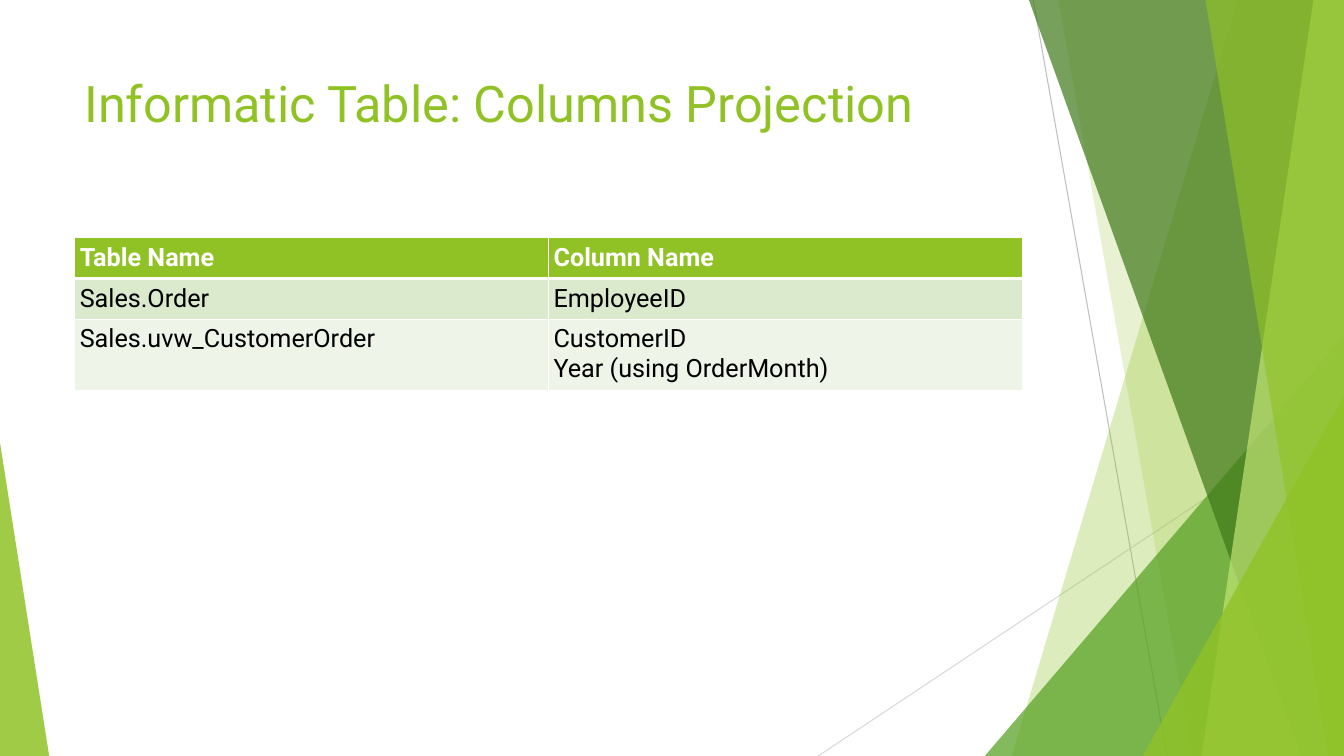
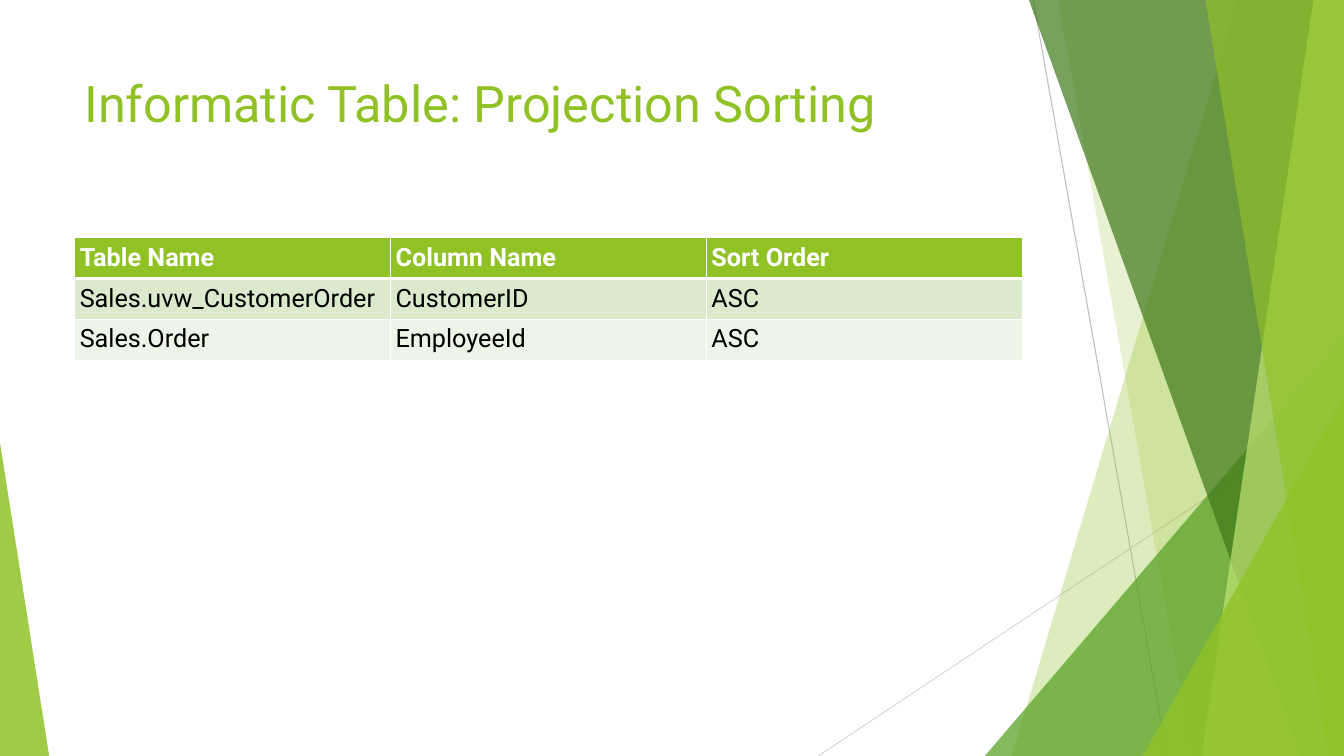
from lxml.etree import SubElement
from pptx import Presentation
from pptx.dml.color import RGBColor
from pptx.enum.shapes import MSO_CONNECTOR, MSO_SHAPE
from pptx.enum.text import MSO_ANCHOR
from pptx.oxml.ns import qn
from pptx.util import Cm, Pt

COLORS = {
    "white": "FFFFFF", "black": "000000", "accent": "90C226",
    "green": "54A021", "dark": "3F7819", "light": "C0E474",
    "gray": "BFBFBF", "pale gray": "D9D9D9",
    "odd row": "DBE9CD", "even row": "EEF4E8",
}
WIDTH, HEIGHT = 33.87, 19.05
LEFT, CONTENT_WIDTH = 1.88, 23.88


def color(name):
    return RGBColor.from_string(COLORS[name])


class GreenDeck:
    """Holds the deck's style and the slide being built."""

    font = "Roboto"

    def __init__(self):
        self.deck = Presentation()
        self.deck.slide_width, self.deck.slide_height = Cm(WIDTH), Cm(HEIGHT)
        self.page = None

    def add_page(self, title):
        self.page = self.deck.slides.add_slide(self.deck.slide_layouts[6])
        self.add_backdrop()
        self.add_title(title)

    def style_text(self, para, size, color_name, bold=False):
        para.font.name = self.font
        para.font.size = Pt(size)
        para.font.bold = bold
        para.font.color.rgb = color(color_name)

    def paint(self, shape, color_name, opacity):
        shape.shadow.inherit = False
        shape.line.fill.background()
        shape.fill.solid()
        shape.fill.fore_color.rgb = color(color_name)
        tint = next(shape.element.spPr.iter(qn("a:srgbClr")))
        SubElement(tint, qn("a:alpha"), val=str(opacity * 1000))

    def add_line(self, start, end, color_name):
        line = self.page.shapes.add_connector(
            MSO_CONNECTOR.STRAIGHT, *map(Cm, start + end))
        line.line.color.rgb = color(color_name)
        line.line.width = Pt(0.75)
        SubElement(line.element.spPr, qn("a:effectLst"))

    def add_panel(self, top_x, bottom_x, color_name, opacity):
        """Full-height panel with a slanted left side, up to the right edge."""
        outline = self.page.shapes.build_freeform(Cm(top_x), 0)
        corners = [(WIDTH, 0), (WIDTH, HEIGHT), (bottom_x, HEIGHT)]
        outline.add_line_segments([(Cm(x), Cm(y)) for x, y in corners])
        self.paint(outline.convert_to_shape(), color_name, opacity)

    def add_triangle(self, left, top, width, apex, color_name, opacity):
        """Triangle standing on the bottom edge; apex 0 is left, 1 is right."""
        triangle = self.page.shapes.add_shape(
            MSO_SHAPE.ISOSCELES_TRIANGLE,
            Cm(left), Cm(top), Cm(width), Cm(HEIGHT - top))
        triangle.adjustments[0] = apex
        self.paint(triangle, color_name, opacity)

    def add_backdrop(self):
        self.add_line((26.04, 0), (29.41, HEIGHT), "gray")
        self.add_line((WIDTH, 10.24), (20.62, HEIGHT), "pale gray")
        self.add_panel(31.19, 25.5, "accent", 30)
        self.add_panel(26.67, 30.05, "accent", 20)
        self.add_triangle(24.82, 8.46, WIDTH - 24.82, 1, "green", 72)
        self.add_panel(25.93, 32.79, "dark", 70)
        self.add_panel(33.1, 30.28, "light", 70)
        self.add_panel(30.38, 33.48, "accent", 65)
        self.add_triangle(28.8, 9.98, WIDTH - 28.8, 1, "accent", 80)
        self.add_triangle(0, 11.15, 1.24, 0, "accent", 85)

    def add_title(self, text):
        box = self.page.shapes.add_textbox(
            Cm(LEFT), Cm(1.7), Cm(CONTENT_WIDTH), Cm(3.66))
        frame = box.text_frame
        frame.word_wrap = True
        frame.vertical_anchor = MSO_ANCHOR.TOP
        frame.text = text
        self.style_text(frame.paragraphs[0], 36, "accent")

    def add_borders(self, cell, top, bottom):
        properties = cell._tc.get_or_add_tcPr()
        for side, points in (("L", 1), ("R", 1), ("T", top), ("B", bottom)):
            border = SubElement(properties, qn(f"a:ln{side}"), w=str(Pt(points)))
            fill = SubElement(border, qn("a:solidFill"))
            SubElement(fill, qn("a:srgbClr"), val=COLORS["white"])

    def add_table(self, rows):
        """The first row is the header; \\v in a cell breaks the line."""
        heights = [1.03 + 0.72 * max(text.count("\v") for text in row)
                   for row in rows]
        table = self.page.shapes.add_table(
            len(rows), len(rows[0]), Cm(LEFT), Cm(5.99),
            Cm(CONTENT_WIDTH), Cm(sum(heights))).table
        table.horz_banding = False
        for column in table.columns:
            column.width = Cm(CONTENT_WIDTH / len(rows[0]))
        for index, texts in enumerate(rows):
            table.rows[index].height = Cm(heights[index])
            header = index == 0
            fill = "accent" if header else ("even row", "odd row")[index % 2]
            for cell, text in zip(table.rows[index].cells, texts):
                cell.margin_left = cell.margin_right = Cm(0.13)
                cell.margin_top = cell.margin_bottom = Cm(0.13)
                self.add_borders(cell, top=3 if index == 1 else 1,
                                 bottom=3 if header else 1)
                cell.fill.solid()
                cell.fill.fore_color.rgb = color(fill)
                cell.text = text
                self.style_text(cell.text_frame.paragraphs[0], 18,
                                "white" if header else "black", header)


def main():
    green = GreenDeck()

    # Columns projection
    green.add_page("Informatic Table: Columns Projection")
    green.add_table([
        ("Table Name", "Column Name"),
        ("Sales.Order", "EmployeeID"),
        ("Sales.uvw_CustomerOrder", "CustomerID\vYear (using OrderMonth)"),
    ])

    # Projection sorting
    green.add_page("Informatic Table: Projection Sorting")
    green.add_table([
        ("Table Name", "Column Name", "Sort Order"),
        ("Sales.uvw_CustomerOrder", "CustomerID", "ASC"),
        ("Sales.Order", "EmployeeId", "ASC"),
    ])

    green.deck.save("out.pptx")


if __name__ == "__main__":
    main()
